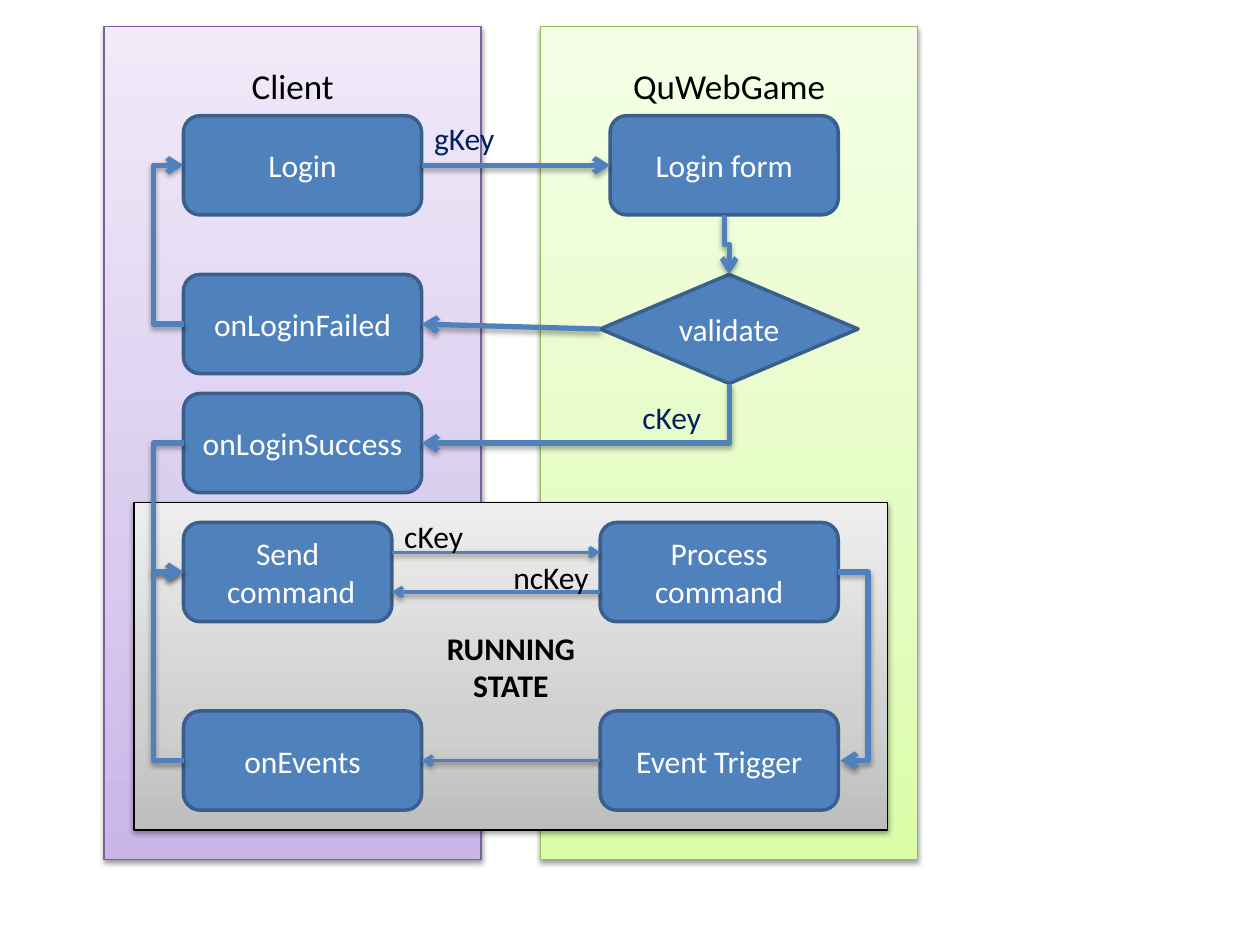
"""Draw the login and command flow between a game client and its server."""
from dataclasses import dataclass
from typing import Optional

import pptx
import pptx.dml.color
import pptx.enum.shapes
import pptx.enum.text
import pptx.oxml.ns
import pptx.util
from lxml import etree

RGBColor = pptx.dml.color.RGBColor
Shape = pptx.enum.shapes.MSO_SHAPE
Connector = pptx.enum.shapes.MSO_CONNECTOR
Align = pptx.enum.text.PP_ALIGN
Anchor = pptx.enum.text.MSO_ANCHOR
Pt, Mm = pptx.util.Pt, pptx.util.Mm
qn = pptx.oxml.ns.qn

BLACK = RGBColor(0x00, 0x00, 0x00)
WHITE = RGBColor(0xFF, 0xFF, 0xFF)
NAVY = RGBColor(0x00, 0x20, 0x60)
BLUE = RGBColor(0x4F, 0x81, 0xBD)
DARK_BLUE = RGBColor(0x3A, 0x5F, 0x8C)
PURPLE = RGBColor(0x7D, 0x60, 0xA0)
GREEN = RGBColor(0x98, 0xB9, 0x55)
LILACS = (RGBColor(0xC9, 0xB5, 0xE8), RGBColor(0xD8, 0xCB, 0xEE), RGBColor(0xF0, 0xEA, 0xF9))
LIMES = (RGBColor(0xDA, 0xFD, 0xA7), RGBColor(0xE4, 0xFC, 0xC2), RGBColor(0xF5, 0xFF, 0xE7))
GREYS = (RGBColor(0xBD, 0xBD, 0xBD), RGBColor(0xD1, 0xD1, 0xD1), RGBColor(0xEE, 0xEE, 0xEE))

FONT = "Calibri"
CELL = 2
LEFT, TOP = 1, 5.33


@dataclass
class Panel:
    col: float
    row: float
    cols: float
    rows: float
    text: str
    shades: tuple[RGBColor, ...]
    border: RGBColor
    size: int = 20
    bold: bool = False
    anchor: Anchor = Anchor.TOP


@dataclass
class Step:
    col: float
    row: float
    text: str
    cols: float = 24
    rows: float = 10
    outline: Shape = Shape.ROUNDED_RECTANGLE


@dataclass
class Arrow:
    start: tuple[float, float]
    end: tuple[float, float]
    weight: float = 3
    bend_col: Optional[float] = None
    downward: str = ""


@dataclass
class Label:
    col: float
    row: float
    text: str
    color: RGBColor
    cols: float = 9


PANELS = [
    Panel(10, 0, 38, 84, "Client", LILACS, PURPLE),
    Panel(54, 0, 38, 84, "QuWebGame", LIMES, GREEN),
    Panel(13, 48, 76, 33, "RUNNING\nSTATE", GREYS, BLACK, 18, True, Anchor.MIDDLE),
]
STEPS = [
    Step(18, 9, "Login"),
    Step(61, 9, "Login form", cols=23),
    Step(18, 25, "onLoginFailed"),
    Step(60, 25, "validate", 26, 11, Shape.FLOWCHART_DECISION),
    Step(18, 37, "onLoginSuccess"),
    Step(18, 50, "Send\n command", cols=21),
    Step(18, 69, "onEvents"),
    Step(60, 50, "Process command"),
    Step(60, 69, "Event Trigger"),
]
ARROWS = [
    Arrow((42, 14), (61, 14)),
    Arrow((73, 36), (42, 42), downward="bentConnector2"),
    Arrow((18.1, 30), (18, 14), bend_col=15),
    Arrow((18.1, 42), (18, 55), bend_col=15),
    Arrow((72.5, 19), (73, 25), downward="bentConnector3"),
    Arrow((84, 55), (84.2, 74), bend_col=87),
    Arrow((18.1, 74), (18, 55), bend_col=15),
    Arrow((39, 53), (60, 53), 2),
    Arrow((60, 57), (39, 57), 2),
    Arrow((60, 74), (42, 74), 2),
    Arrow((60, 30.5), (42, 30)),
]
LABELS = [
    Label(42, 8.75, "gKey", NAVY),
    Label(63, 36.8, "cKey", NAVY),
    Label(39, 48.8, "cKey", BLACK),
    Label(50, 53, "ncKey", BLACK, 11),
]


def box(col: float, row: float, cols: float, rows: float) -> tuple:
    return Mm(LEFT + CELL * col), Mm(TOP + CELL * row), Mm(CELL * cols), Mm(CELL * rows)


def write(frame, text: str, size: int, color: RGBColor, align: Align, bold: bool = False) -> None:
    frame.word_wrap = True
    frame.text = text
    for paragraph in frame.paragraphs:
        paragraph.alignment = align
        paragraph.font.name = FONT
        paragraph.font.size = Pt(size)
        paragraph.font.bold = bold
        paragraph.font.color.rgb = color


def cast_shadow(effects, distance: float, opacity: int) -> None:
    shadow = etree.SubElement(
        effects, qn("a:outerShdw"), blurRad=str(Pt(3.1)), dist=str(Pt(distance)),
        dir="5400000", rotWithShape="0")
    tint = etree.SubElement(shadow, qn("a:srgbClr"), val=str(BLACK))
    etree.SubElement(tint, qn("a:alpha"), val=str(opacity * 1000))


def draw_panel(shapes, panel: Panel) -> None:
    area = shapes.add_shape(Shape.RECTANGLE, *box(panel.col, panel.row, panel.cols, panel.rows))
    area.fill.gradient()
    area.fill.gradient_angle = 90
    stops = area.element.spPr.find(".//" + qn("a:gsLst"))
    stops.clear()
    for share, shade in zip((0, 35, 100), panel.shades):
        stop = etree.SubElement(stops, qn("a:gs"), pos=str(share * 1000))
        etree.SubElement(stop, qn("a:srgbClr"), val=str(shade))
    area.line.color.rgb = panel.border
    area.line.width = Pt(0.75)
    area.shadow.inherit = False
    cast_shadow(area.element.spPr.find(qn("a:effectLst")), 1.6, 38)
    write(area.text_frame, panel.text, panel.size, BLACK, Align.CENTER, panel.bold)
    area.text_frame.vertical_anchor = panel.anchor
    if panel.anchor == Anchor.TOP:
        area.text_frame.margin_top = Mm(7.6)


def draw_step(shapes, step: Step) -> None:
    node = shapes.add_shape(step.outline, *box(step.col, step.row, step.cols, step.rows))
    node.shadow.inherit = False
    node.fill.solid()
    node.fill.fore_color.rgb = BLUE
    node.line.color.rgb = DARK_BLUE
    node.line.width = Pt(2)
    write(node.text_frame, step.text, 18, WHITE, Align.CENTER)
    node.text_frame.vertical_anchor = Anchor.MIDDLE


def draw_arrow(shapes, arrow: Arrow) -> None:
    (x1, y1), (x2, y2) = arrow.start, arrow.end
    across, down = x2 - x1, y2 - y1
    if arrow.downward:
        middle_x, middle_y = (x1 + x2) / 2, (y1 + y2) / 2
        x1, x2 = middle_x - down / 2, middle_x + down / 2
        y1, y2 = middle_y + across / 2, middle_y - across / 2
    bent = arrow.downward or arrow.bend_col is not None
    link = shapes.add_connector(
        Connector.ELBOW if bent else Connector.STRAIGHT,
        *box(x1, y1, 0, 0)[:2], *box(x2, y2, 0, 0)[:2])
    properties = link.element.spPr
    geometry = properties.find(qn("a:prstGeom"))
    if arrow.downward:
        properties.find(qn("a:xfrm")).set("rot", "5400000")
        geometry.set("prst", arrow.downward)
    if arrow.bend_col is not None:
        share = round((arrow.bend_col - x1) / across * 100000)
        etree.SubElement(geometry.find(qn("a:avLst")), qn("a:gd"), name="adj1", fmla=f"val {share}")
    link.line.color.rgb = BLUE
    link.line.width = Pt(arrow.weight)
    etree.SubElement(properties.find(qn("a:ln")), qn("a:tailEnd"), type="arrow")
    heavy = arrow.weight > 2
    cast_shadow(etree.SubElement(properties, qn("a:effectLst")),
                1.8 if heavy else 1.6, 35 if heavy else 38)


def draw_label(shapes, label: Label) -> None:
    caption = shapes.add_textbox(*box(label.col, label.row, label.cols, 5.1))
    write(caption.text_frame, label.text, 18, label.color, Align.LEFT)


deck = pptx.Presentation()
deck.slide_width, deck.slide_height = pptx.util.Inches(10), pptx.util.Inches(7.5)
flow = deck.slides.add_slide(deck.slide_layouts[6]).shapes
for draw, items in ((draw_panel, PANELS), (draw_step, STEPS),
                    (draw_arrow, ARROWS), (draw_label, LABELS)):
    for item in items:
        draw(flow, item)
deck.save("out.pptx")
